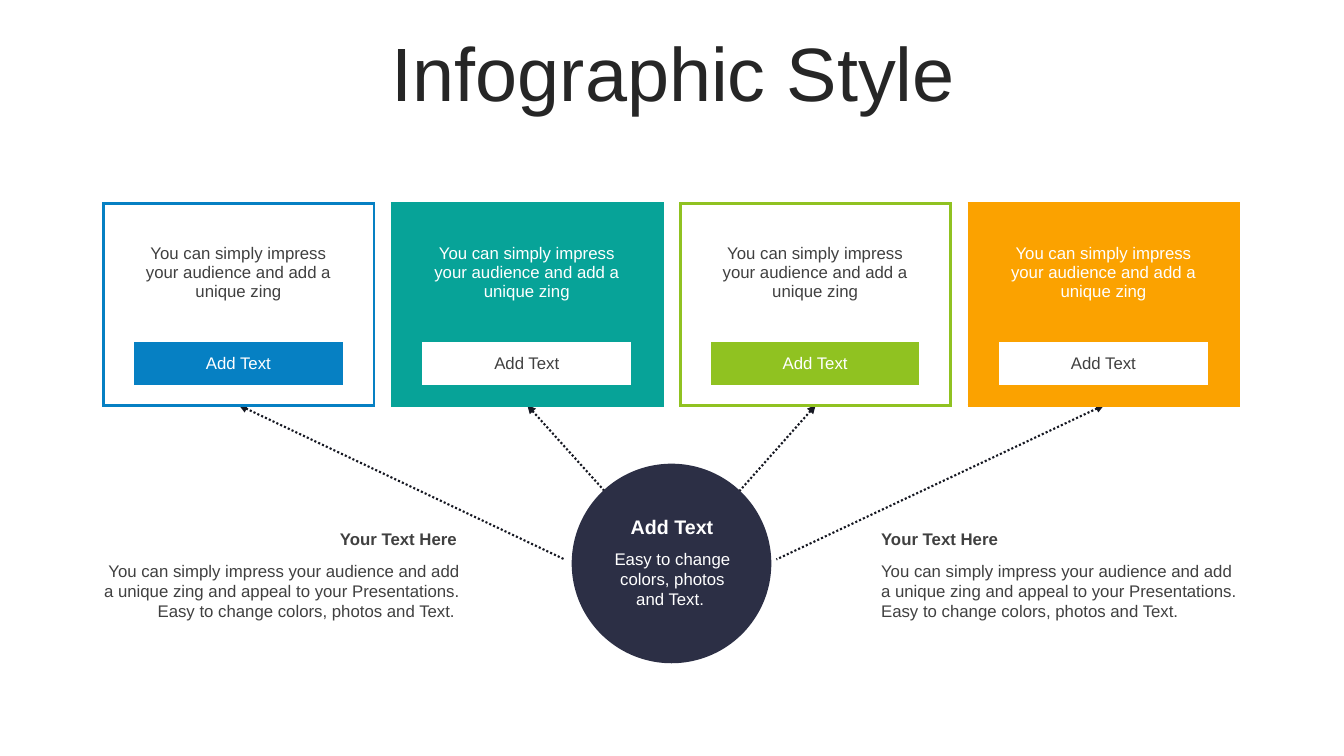
from dataclasses import dataclass

from lxml import etree
from pptx import Presentation
from pptx import util as u
from pptx.dml.color import RGBColor
from pptx.enum import dml, shapes, text
from pptx.oxml import ns


@dataclass(frozen=True)
class Theme:
    """Colours, font and type sizes of the slide."""
    font: str = "Arial"
    title: str = "262626"
    body: str = "404040"
    white: str = "FFFFFF"
    navy: str = "2C2F45"
    line: str = "161822"
    accents: tuple = ("0680C3", "07A398", "90C221", "FBA200")
    title_size: float = 54
    head_size: float = 14
    body_size: float = 12
    spacer_size: float = 4
    line_width: float = 1.5
    border_width: float = 2.25


T = Theme()
LEFT, CENTER, RIGHT = text.PP_ALIGN.LEFT, text.PP_ALIGN.CENTER, text.PP_ALIGN.RIGHT
TOP, MIDDLE = text.MSO_ANCHOR.TOP, text.MSO_ANCHOR.MIDDLE
CARD_COLS = (0.3, 2.07, 0.31)
CARD_ROWS = (0.2, 0.97, 0.2, 0.43, 0.2)
CARD_LEFT, CARD_TOP, CARD_STEP = 1.03, 2.02, 2.86
NO_STYLE = "{2D5ABB26-0587-4C30-8999-92F81FD0307C}"
CARD_TEXT = "You can simply impress your audience and add a unique zing"
CIRCLE_TEXT = "Easy to change colors, photos and Text. "
SIDE_TEXT = ("You can simply impress your audience and add a unique zing "
             "and appeal to your Presentations. " + CIRCLE_TEXT)


def set_attrs(obj, values):
    """Set attributes of an object from a dict."""
    for name, value in values.items():
        setattr(obj, name, value)


def write(tf, words, color, size=T.body_size, bold=False, align=CENTER, **para):
    """Write one formatted paragraph into a text frame."""
    p = tf.paragraphs[0]
    set_attrs(p, {"alignment": align, **para})
    r = p.add_run()
    r.text = words
    set_attrs(r.font, {"name": T.font, "size": u.Pt(size), "bold": bold})
    r.font.color.rgb = RGBColor.from_string(color)


def add_text(s, box, words, color, anchor=MIDDLE, **fmt):
    """Add a wrapping text box."""
    tf = s.shapes.add_textbox(*map(u.Inches, box)).text_frame
    set_attrs(tf, {"word_wrap": True, "vertical_anchor": anchor})
    write(tf, words, color, **fmt)


def add_arrow(s, start, end):
    """Add a dotted line with its arrowhead at the start."""
    points = map(u.Inches, (*start, *end))
    cx = s.shapes.add_connector(shapes.MSO_CONNECTOR.STRAIGHT, *points)
    set_attrs(cx.line, {"width": u.Pt(T.line_width),
                        "dash_style": dml.MSO_LINE.ROUND_DOT})
    cx.line.color.rgb = RGBColor.from_string(T.line)
    etree.SubElement(cx.line._ln, ns.qn("a:headEnd"), type="triangle")
    etree.SubElement(cx._element.spPr, ns.qn("a:effectLst"))


def add_circle(s, box, color):
    """Add a plain filled circle."""
    sp = s.shapes.add_shape(shapes.MSO_SHAPE.OVAL, *map(u.Inches, box))
    sp.shadow.inherit = False
    sp.fill.solid()
    sp.fill.fore_color.rgb = RGBColor.from_string(color)
    sp.line.fill.background()


def add_border(cell, side, color):
    """Draw one side (L, R, T or B) of a cell."""
    ln = etree.SubElement(cell._tc.get_or_add_tcPr(), ns.qn(f"a:ln{side}"),
                          w=str(u.Pt(T.border_width)))
    fill = etree.SubElement(ln, ns.qn("a:solidFill"))
    etree.SubElement(fill, ns.qn("a:srgbClr"), val=color)


def style_cell(cell, fill, border, sides):
    """Set the margins, outer borders and fill of a cell."""
    set_attrs(cell, {"margin_top": 0, "margin_bottom": 0,
                     "vertical_anchor": MIDDLE})
    for side in sides:
        add_border(cell, side, border)
    cell.fill.solid()
    cell.fill.fore_color.rgb = RGBColor.from_string(fill)


def add_card(s, left, accent, filled):
    """Add a framed table card with a message and a label bar."""
    size = sum(CARD_COLS), sum(CARD_ROWS)
    box = map(u.Inches, (left, CARD_TOP, *size))
    tbl = s.shapes.add_table(len(CARD_ROWS), len(CARD_COLS), *box).table
    set_attrs(tbl, {"first_row": False, "horz_banding": False})
    tbl._tbl.tblPr.find(ns.qn("a:tableStyleId")).text = NO_STYLE
    for col, width in zip(tbl.columns, CARD_COLS):
        col.width = u.Inches(width)
    for row, height in zip(tbl.rows, CARD_ROWS):
        row.height = u.Inches(height)

    back, bar = (accent, T.white) if filled else (T.white, accent)
    ink, bar_ink = (T.white, T.body) if filled else (T.body, T.white)
    content = {(1, 1): (CARD_TEXT, ink), (3, 1): ("Add Text", bar_ink)}
    last_row, last_col = len(CARD_ROWS) - 1, len(CARD_COLS) - 1
    for i in range(len(CARD_ROWS)):
        for j in range(len(CARD_COLS)):
            cell = tbl.cell(i, j)
            edges = {"L": j == 0, "R": j == last_col,
                     "T": i == 0, "B": i == last_row}
            sides = [side for side, outer in edges.items() if outer]
            style_cell(cell, bar if (i, j) == (3, 1) else back, accent, sides)
            if (i, j) in content:
                write(cell.text_frame, *content[i, j])
            else:
                end = cell.text_frame.paragraphs[0]._p.get_or_add_endParaRPr()
                end.set("sz", str(int(T.spacer_size * 100)))


def add_side_note(s, left, width, head_width, align):
    """Add a bold heading with a paragraph below it."""
    add_text(s, (left, 5.51, width, 0.71), SIDE_TEXT, T.body, TOP, align=align)
    add_text(s, (left, 5.2, head_width, 0.3), "Your Text Here", T.body, TOP,
             bold=True, align=align)


def main():
    """Build the slide and save it."""
    prs = Presentation()
    set_attrs(prs, {"slide_width": u.Inches(13.33), "slide_height": u.Inches(7.5)})
    s = prs.slides.add_slide(prs.slide_layouts[6])

    add_text(s, (0.35, 0.37, 12.66, 0.79), "Infographic Style", T.title,
             size=T.title_size, line_spacing=0.9, space_before=u.Pt(10))

    card_bottom = CARD_TOP + sum(CARD_ROWS)
    for x, end in ((5.23, (6.67, 5.62)), (2.37, (5.6, 5.55)),
                   (8.09, (6.67, 5.62)), (10.95, (7.7, 5.55))):
        add_arrow(s, (x, card_bottom), end)

    add_side_note(s, 8.64, 3.78, 3.75, LEFT)
    add_side_note(s, 0.91, 3.75, 3.72, RIGHT)

    add_circle(s, (5.67, 4.6, 1.98, 1.98), T.navy)
    add_text(s, (5.95, 5.32, 1.44, 0.84), CIRCLE_TEXT, T.white)
    add_text(s, (5.94, 5.06, 1.45, 0.33), "Add Text", T.white,
             size=T.head_size, bold=True)

    for k, accent in enumerate(T.accents):
        add_card(s, CARD_LEFT + k * CARD_STEP, accent, filled=k % 2 == 1)

    prs.save("out.pptx")


main()
